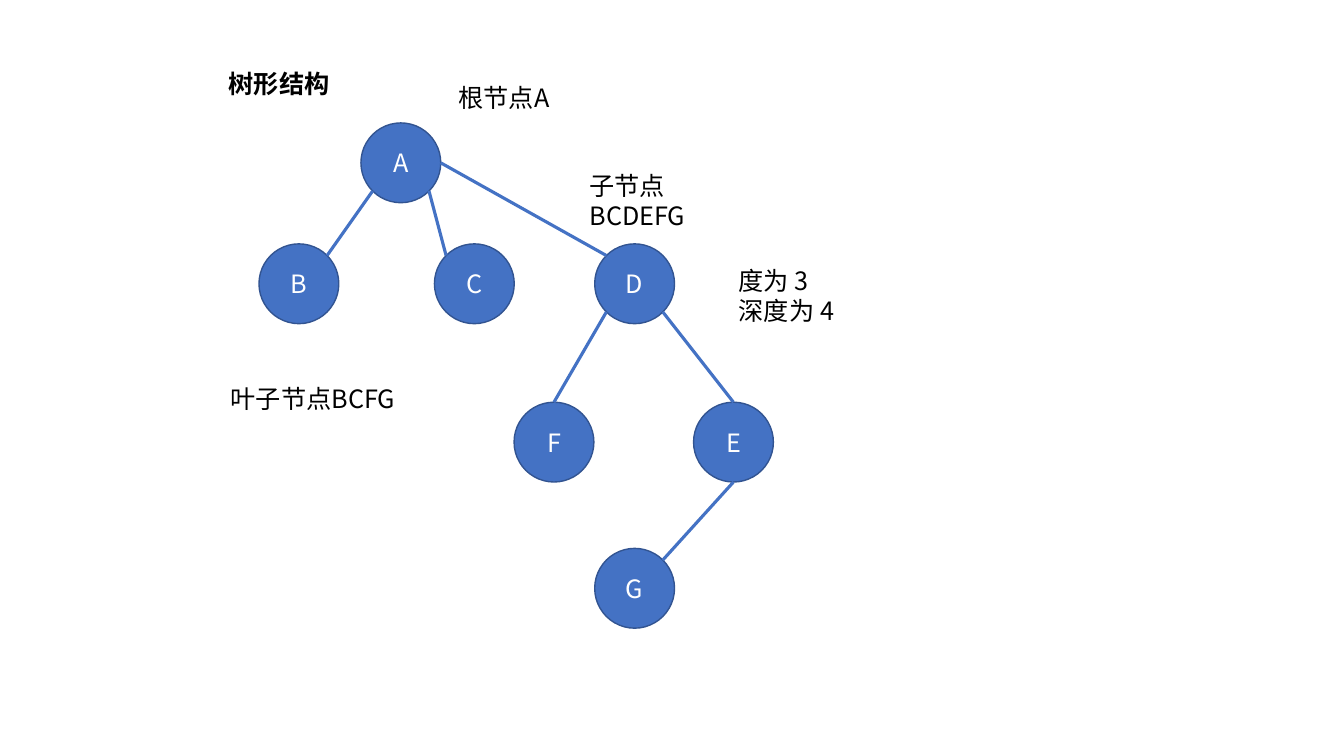
"""Build a slide that shows a tree structure with its labelled nodes."""
import math

import lxml.etree
import pptx
import pptx.dml.color
import pptx.enum.shapes
import pptx.enum.text
import pptx.oxml.ns
import pptx.util

Pt = pptx.util.Pt
ALIGN = pptx.enum.text.PP_ALIGN
ANCHOR = pptx.enum.text.MSO_ANCHOR
FIT = pptx.enum.text.MSO_AUTO_SIZE
FACE = "Noto Sans CJK SC"
BLUE, EDGE, BLACK, WHITE = "4472C4", "325491", "000000", "FFFFFF"
SIZE = 57

ROWS = [87.8, 174.2, 287.3, 391.7]
NODES = {
    "G": (424.8, 3), "A": (257.8, 0), "F": (367.2, 2), "E": (495.4, 2),
    "D": (424.8, 1), "C": (310.3, 1), "B": (185, 1),
}
EDGES = [
    ("A", 3, "B", 7), ("A", 5, "C", 1), ("A", 6, "D", 1),
    ("D", 3, "F", 0), ("D", 5, "E", 0), ("E", 4, "G", 7),
]
TITLE = (156.2, 45.4, 93.6, 29)
NOTES = [
    ("根节点A", (320.4, 55.4, 93.6, 29)),
    ("子节点BCDEFG", (414, 118.1, 132.4, 29)),
    ("叶子节点BCFG", (157.7, 270, 132.4, 29)),
    ("度为 3\n深度为 4", (520.6, 185.8, 132.4, 51)),
]


def color(code):
    """Turn a hex string into a colour."""
    return pptx.dml.color.RGBColor.from_string(code)


def apply(item, form):
    """Set every format value of a dict on an object."""
    for name, value in form.items():
        setattr(item, name, value)


def place(shape, box):
    """Move a shape to a box given in points."""
    names = ("left", "top", "width", "height")
    apply(shape, dict(zip(names, map(Pt, box))))


def write(shape, text, ink, align, frame, bold=False):
    """Fill a shape with text in the slide's face."""
    body = shape.text_frame
    body.text = text
    apply(body, {"word_wrap": True, **frame})
    for para in body.paragraphs:
        para.alignment = align
        for run in para.runs:
            apply(run.font, {"name": FACE, "size": Pt(18), "bold": bold})
            run.font.color.rgb = color(ink)
            east = lxml.etree.SubElement(
                run._r.get_or_add_rPr(), pptx.oxml.ns.qn("a:ea"))
            east.set("typeface", FACE)


def label(shape, text, box, bold=False):
    """Place a black text block that starts at the top left."""
    frame = {"vertical_anchor": ANCHOR.TOP, "auto_size": FIT.SHAPE_TO_FIT_TEXT}
    write(shape, text, BLACK, ALIGN.LEFT, frame, bold)
    place(shape, box)


def node(slide, name, left, row):
    """Draw one round node with its letter."""
    kind = pptx.enum.shapes.MSO_SHAPE.OVAL
    box = map(Pt, (left, ROWS[row], SIZE, SIZE))
    shape = slide.shapes.add_shape(kind, *box)
    shape.shadow.inherit = False
    shape.fill.solid()
    shape.fill.fore_color.rgb = color(BLUE)
    shape.line.color.rgb = color(EDGE)
    shape.line.width = Pt(1)
    write(shape, name, WHITE, ALIGN.CENTER, {"vertical_anchor": ANCHOR.MIDDLE})


def point(name, site):
    """Find a node's rim point, counted by eighths leftward from the top."""
    left, row = NODES[name]
    turn = site * math.pi / 4
    half = SIZE / 2
    across = left + half - half * math.sin(turn)
    down = ROWS[row] + half - half * math.cos(turn)
    return Pt(across), Pt(down)


def edge(slide, start, leave, end, reach):
    """Draw a line from one node's rim to another's."""
    kind = pptx.enum.shapes.MSO_CONNECTOR.STRAIGHT
    line = slide.shapes.add_connector(
        kind, *point(start, leave), *point(end, reach))
    line.line.color.rgb = color(BLUE)
    line.line.width = Pt(2.25)
    lxml.etree.SubElement(
        line._element.spPr, pptx.oxml.ns.qn("a:effectLst"))


def main():
    """Build and save the slide."""
    deck = pptx.Presentation()
    apply(deck, {"slide_width": Pt(960), "slide_height": Pt(540)})
    slide = deck.slides.add_slide(deck.slide_layouts[5])
    label(slide.shapes.title, "树形结构", TITLE, True)
    for name, (left, row) in NODES.items():
        node(slide, name, left, row)
    for link in EDGES:
        edge(slide, *link)
    for text, box in NOTES:
        label(slide.shapes.add_textbox(*map(Pt, box)), text, box)
    deck.save("out.pptx")


main()
